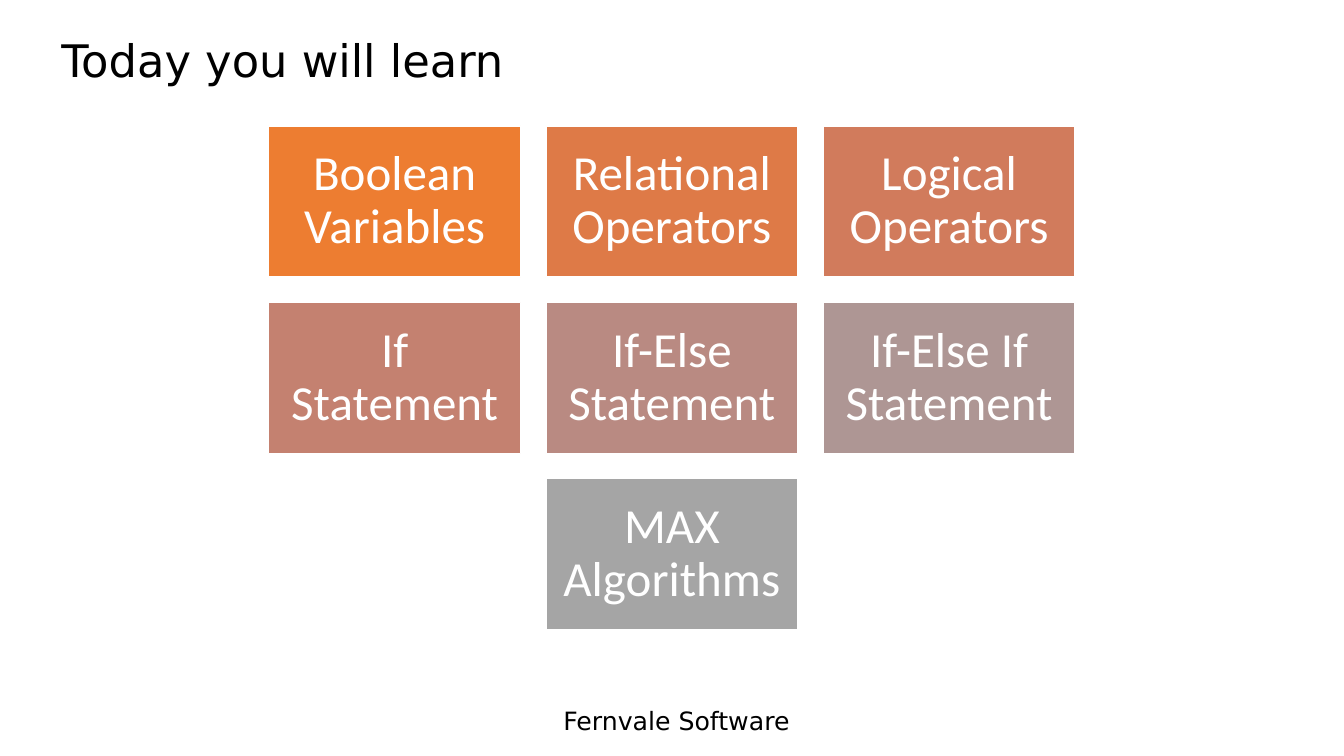
"""Build the lesson overview slide with its grid of topics."""
from dataclasses import dataclass

from pptx import Presentation
from pptx.dml.color import RGBColor
from pptx.enum.shapes import MSO_SHAPE
from pptx.enum.text import MSO_ANCHOR, MSO_AUTO_SIZE, PP_ALIGN
from pptx.slide import Slide
from pptx.text.text import TextFrame
from pptx.util import Pt

COLUMNS = 3
GRID_LEFT, GRID_TOP = 192, 90
TILE_WIDTH, TILE_HEIGHT, GAP = 180, 108, 18
TILE_INSET = 10.5


@dataclass(frozen=True)
class Topic:
    name: str
    fill: str


TOPICS = [
    Topic("Boolean Variables", "ED7D31"),
    Topic("Relational Operators", "DE7A47"),
    Topic("Logical Operators", "D17B5C"),
    Topic("If Statement", "C48170"),
    Topic("If-Else Statement", "B98A82"),
    Topic("If-Else If Statement", "AE9694"),
    Topic("MAX Algorithms", "A5A5A5"),
]


def color(value: str) -> RGBColor:
    return RGBColor.from_string(value)


def write(frame: TextFrame, words: str, size: float, font: str, ink: str,
          align: PP_ALIGN, spacing: float = 1.0) -> None:
    frame.word_wrap = True
    frame.auto_size = MSO_AUTO_SIZE.NONE
    paragraph = frame.paragraphs[0]
    paragraph.alignment = align
    paragraph.line_spacing = spacing
    run = paragraph.add_run()
    run.text = words
    run.font.size = Pt(size)
    run.font.name = font
    run.font.color.rgb = color(ink)


def add_heading(slide: Slide, words: str) -> None:
    heading = slide.shapes.title
    heading.left, heading.top = Pt(36.72), Pt(10.8)
    heading.width, heading.height = Pt(857.52), Pt(68.4)
    heading.text_frame.vertical_anchor = MSO_ANCHOR.MIDDLE
    write(heading.text_frame, words, 32, "DejaVu Sans", "000000", PP_ALIGN.LEFT, 0.9)


def add_footer(slide: Slide, words: str) -> None:
    footer = slide.shapes.add_textbox(Pt(395.28), Pt(500.4), Pt(208.8), Pt(28.8))
    write(footer.text_frame, words, 18, "DejaVu Sans", "000000", PP_ALIGN.LEFT)


def add_tile(slide: Slide, topic: Topic, left: float, top: float) -> None:
    tile = slide.shapes.add_shape(
        MSO_SHAPE.RECTANGLE, Pt(left), Pt(top), Pt(TILE_WIDTH), Pt(TILE_HEIGHT))
    tile.shadow.inherit = False
    tile.fill.solid()
    tile.fill.fore_color.rgb = color(topic.fill)
    tile.line.color.rgb = color("FFFFFF")
    tile.line.width = Pt(1)
    label = tile.text_frame
    label.margin_left = label.margin_right = Pt(TILE_INSET)
    label.margin_top = label.margin_bottom = Pt(TILE_INSET)
    label.vertical_anchor = MSO_ANCHOR.MIDDLE
    write(label, topic.name, 35, "Calibri", "FFFFFF", PP_ALIGN.CENTER, 0.9)


def add_topics(slide: Slide, topics: list[Topic]) -> None:
    for start in range(0, len(topics), COLUMNS):
        row = topics[start:start + COLUMNS]
        indent = (COLUMNS - len(row)) * (TILE_WIDTH + GAP) / 2
        top = GRID_TOP + start // COLUMNS * (TILE_HEIGHT + GAP)
        for column, topic in enumerate(row):
            left = GRID_LEFT + indent + column * (TILE_WIDTH + GAP)
            add_tile(slide, topic, left, top)


def main() -> None:
    deck = Presentation()
    deck.slide_width, deck.slide_height = Pt(960), Pt(540)
    slide = deck.slides.add_slide(deck.slide_layouts[5])
    add_footer(slide, "Fernvale Software")
    add_heading(slide, "Today you will learn")
    add_topics(slide, TOPICS)
    deck.save("out.pptx")


if __name__ == "__main__":
    main()
